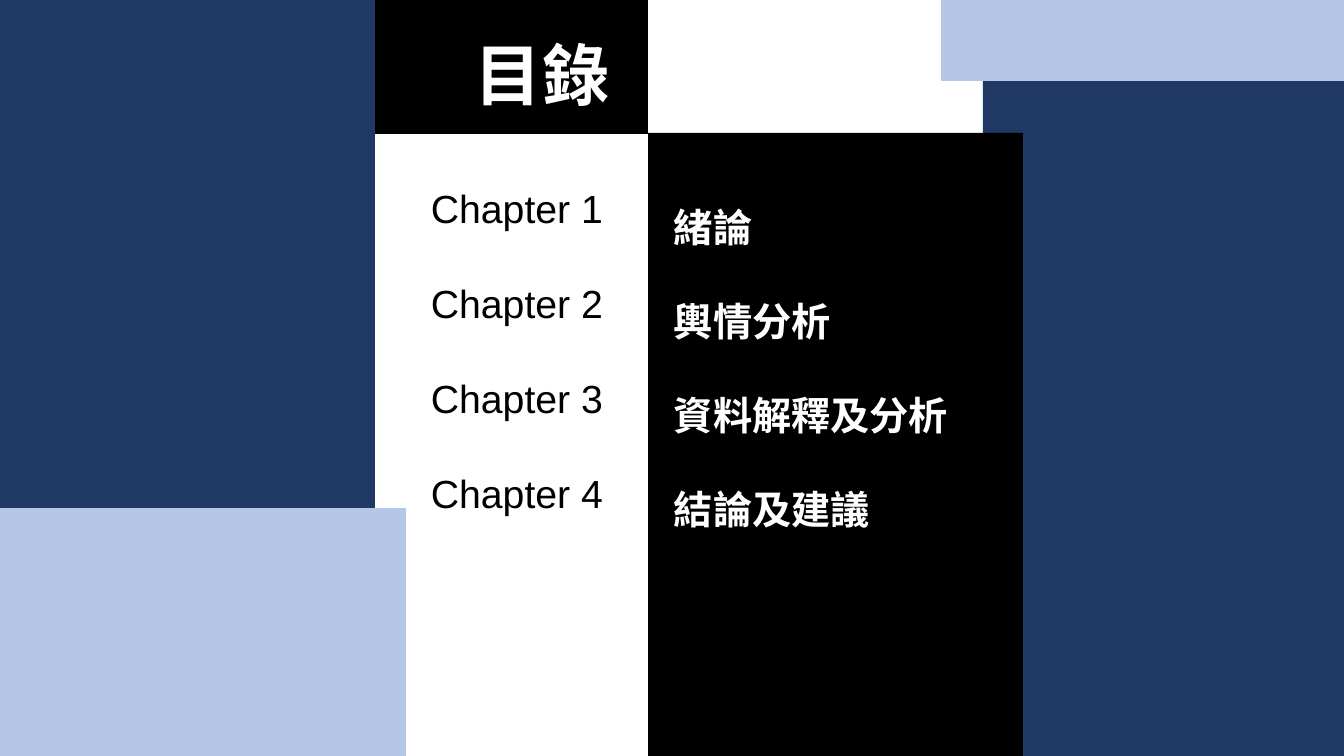
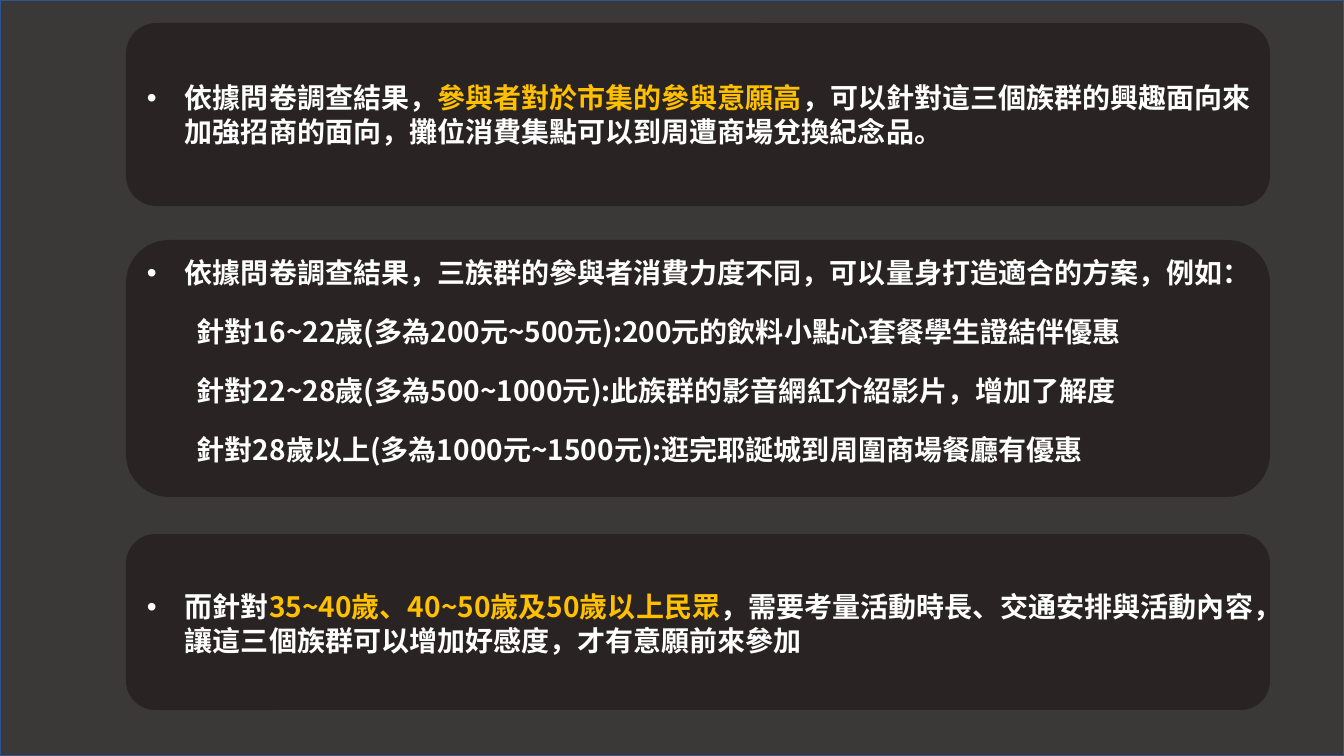
import pptx
import pptx.dml.color
import pptx.enum.shapes
import pptx.enum.text
import pptx.oxml
import pptx.oxml.ns
import pptx.util

WIDTH, HEIGHT = 1344, 756
SCALE = 12192000 / WIDTH
COLORS = {
    "navy": "203864",
    "sky": "B4C7E7",
    "black": "000000",
    "white": "FFFFFF",
    "slate": "3B3838",
    "frame": "325491",
    "card": "292323",
    "gold": "FFC000",
}
CHINESE_FONT = "Noto Sans CJK SC"
LATIN_FONT = "Arial"
RECTANGLE = pptx.enum.shapes.MSO_SHAPE.RECTANGLE
ROUNDED = pptx.enum.shapes.MSO_SHAPE.ROUNDED_RECTANGLE

CHAPTERS = ["Chapter 1", "Chapter 2", "Chapter 3", "Chapter 4"]
TOPICS = ["緒論", "輿情分析", "資料解釋及分析", "結論及建議"]
CARDS = [
    (23, 183, 53, 77, [[
        ("依據問卷調查結果，", "white"),
        ("參與者對於市集的參與意願高", "gold"),
        ("，可以針對這三個族群的興趣面向來加強招商的面向，攤位消費集點可以到周遭商場兌換紀念品。", "white"),
    ]]),
    (240, 257, 11, 281, [
        [("依據問卷調查結果，三族群的參與者消費力度不同，可以量身打造適合的方案，例如：", "white")],
        [("針對16~22歲(多為200元~500元):200元的飲料小點心套餐學生證結伴優惠", "white")],
        [("針對22~28歲(多為500~1000元):此族群的影音網紅介紹影片，增加了解度", "white")],
        [("針對28歲以上(多為1000元~1500元):逛完耶誕城到周圍商場餐廳有優惠", "white")],
    ]),
    (534, 176, 51, 77, [[
        ("而針對", "white"),
        ("35~40歲、40~50歲及50歲以上民眾", "gold"),
        ("，需要考量活動時長、交通安排與活動內容，讓這三個族群可以增加好感度，才有意願前來參加", "white"),
    ]]),
]


def px(length):
    return pptx.util.Emu(round(length * SCALE))


def rgb(name):
    return pptx.dml.color.RGBColor.from_string(COLORS[name])


def add_block(slide, box, fill, kind=RECTANGLE, line=None):
    shape = slide.shapes.add_shape(kind, *map(px, box))
    shape.shadow.inherit = False
    shape.fill.solid()
    shape.fill.fore_color.rgb = rgb(fill)
    if line:
        shape.line.color.rgb = rgb(line)
        shape.line.width = pptx.util.Pt(1)
    else:
        shape.line.fill.background()


def set_font(paragraph, size, color=None, name=CHINESE_FONT, bold=True):
    font = paragraph.font
    font.size = pptx.util.Pt(size)
    font.bold = bold
    if color:
        font.color.rgb = rgb(color)
    font.name = name
    properties = paragraph._p.pPr.find(pptx.oxml.ns.qn("a:defRPr"))
    east_asian = pptx.oxml.parse_xml(
        f'<a:ea {pptx.oxml.ns.nsdecls("a")} typeface="{name}"/>')
    properties.find(pptx.oxml.ns.qn("a:latin")).addnext(east_asian)


def add_text_frame(slide, box):
    text_frame = slide.shapes.add_textbox(*map(px, box)).text_frame
    text_frame.word_wrap = True
    text_frame.auto_size = pptx.enum.text.MSO_AUTO_SIZE.SHAPE_TO_FIT_TEXT
    return text_frame


def add_lines(slide, box, lines, size, color, spacing=1.0, **font):
    text_frame = add_text_frame(slide, box)
    text_frame.text = "\n".join(lines)
    for paragraph in text_frame.paragraphs:
        paragraph.line_spacing = spacing
        set_font(paragraph, size, color, **font)


def indent(paragraph, left, bullet=False):
    properties = paragraph._p.get_or_add_pPr()
    properties.set("marL", str(px(left)))
    properties.set("indent", str(px(-left if bullet else 0)))
    if bullet:
        for tag in ('a:buFont {} typeface="Arial"', 'a:buChar {} char="•"'):
            element = tag.format(pptx.oxml.ns.nsdecls("a"))
            properties.append(pptx.oxml.parse_xml(f"<{element}/>"))


def add_card(slide, box, text_offset, text_height, paragraphs):
    left, top, width, height = box
    add_block(slide, box, "card", ROUNDED)
    text_box = (left + 11, top + text_offset, width - 11, text_height)
    text_frame = add_text_frame(slide, text_box)
    for index, runs in enumerate(paragraphs):
        first = index == 0
        paragraph = text_frame.paragraphs[0] if first else text_frame.add_paragraph()
        indent(paragraph, 38 if first else 50, bullet=first)
        if not first:
            paragraph.level = 1
            paragraph.space_before = pptx.util.Pt(18)
        set_font(paragraph, 20, "white")
        for text, color in runs:
            run = paragraph.add_run()
            run.text = text
            if color != "white":
                run.font.color.rgb = rgb(color)


def add_chapter_column(slide, box):
    left, top, width, header = box
    add_block(slide, box, "black")
    add_lines(slide, (left + 90, top + 28, width - 90, 92), ["目錄"], 48, "white")
    for index, chapter in enumerate(CHAPTERS):
        label = (left + 46, top + header + 45 + 95 * index, 339, 57)
        add_lines(slide, label, [chapter], 28, "black", name=LATIN_FONT, bold=False)


def add_topic_column(slide, box):
    left, top, width, height = box
    add_block(slide, box, "black")
    add_lines(slide, (left + 16, top + 18, width - 41, 375), TOPICS, 28, "white", 2.0)


def build_contents(slide):
    add_block(slide, (983, 62, WIDTH - 983, HEIGHT - 62), "navy")
    add_topic_column(slide, (648, 133, 375, HEIGHT - 133))
    add_chapter_column(slide, (375, 0, 273, 134))
    add_block(slide, (0, 0, 375, 508), "navy")
    add_block(slide, (0, 508, 406, HEIGHT - 508), "sky")
    add_block(slide, (941, 0, WIDTH - 941, 81), "sky")


def build_suggestions(slide):
    add_block(slide, (0, 0, WIDTH, HEIGHT), "slate", line="frame")
    for top, height, text_offset, text_height, paragraphs in CARDS:
        add_card(slide, (126, top, 1144, height), text_offset, text_height, paragraphs)


def main():
    presentation = pptx.Presentation()
    presentation.slide_width = px(WIDTH)
    presentation.slide_height = px(HEIGHT)
    for build in (build_contents, build_suggestions):
        build(presentation.slides.add_slide(presentation.slide_layouts[6]))
    presentation.save("out.pptx")


if __name__ == "__main__":
    main()
